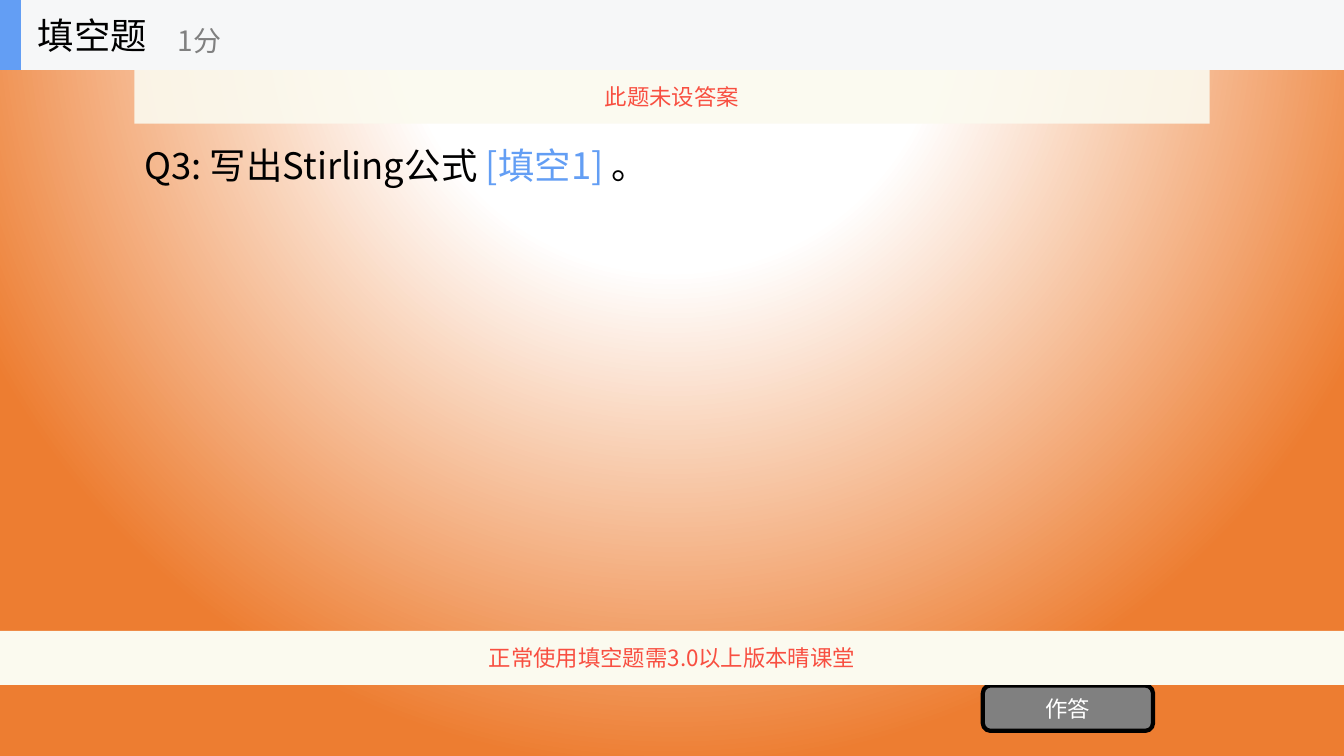
"""Build the fill-in-the-blank question slide."""
from dataclasses import dataclass
from typing import Optional

from lxml.etree import SubElement
from pptx import Presentation
from pptx.dml.color import RGBColor
from pptx.enum.shapes import MSO_SHAPE as Preset
from pptx.enum.text import MSO_ANCHOR as Anchor, PP_ALIGN as Align
from pptx.oxml import parse_xml
from pptx.oxml.ns import nsdecls, qn
from pptx.shapes.autoshape import Shape
from pptx.slide import Slide
from pptx.util import Inches, Pt

WIDTH, HEIGHT = Inches(13.33), Inches(7.5)
FONT = "Noto Sans CJK SC"
BLACK = RGBColor(0x00, 0x00, 0x00)
WHITE = RGBColor(0xFF, 0xFF, 0xFF)
GRAY = RGBColor(0x80, 0x80, 0x80)
BLUE = RGBColor(0x63, 0x9E, 0xF4)
RED = RGBColor(0xF8, 0x4F, 0x41)
CREAM = RGBColor(0xFB, 0xFA, 0xEF)
PALE = RGBColor(0xF6, 0xF7, 0xF8)
ORANGE = RGBColor(0xED, 0x7D, 0x31)
HEADER_HEIGHT = 9.26
NOTICE_HEIGHT = 7.12


@dataclass(frozen=True)
class Piece:
    """A stretch of text in one colour."""
    text: str
    color: RGBColor


@dataclass(frozen=True)
class Block:
    """A part of the slide, placed in percent of the slide's size."""
    left: float
    top: float
    width: float
    height: float
    pieces: tuple[Piece, ...] = ()
    size: int = 16
    fill: Optional[RGBColor] = None
    opacity: int = 100
    preset: Preset = Preset.RECTANGLE
    border: Optional[RGBColor] = None


BODY = (
    Block(10, 6.25, 80, 31.25, (Piece("Q3: 写出Stirling公式 ", BLACK),
                                Piece("[填空1] ", BLUE), Piece("。", BLACK)), 26),
    Block(73.13, 90.67, 12.66, 6, (Piece("作答", WHITE),), fill=GRAY,
          preset=Preset.ROUNDED_RECTANGLE, border=BLACK),
    Block(0, 83.47, 100, NOTICE_HEIGHT,
          (Piece("正常使用填空题需3.0以上版本晴课堂", RED),), fill=CREAM),
    Block(10, HEADER_HEIGHT, 80, NOTICE_HEIGHT,
          (Piece("此题未设答案", RED),), fill=CREAM, opacity=90),
)
HEADER = (
    Block(0, 0, 100, HEADER_HEIGHT, fill=PALE),
    Block(0, 0, 1.56, HEADER_HEIGHT, fill=BLUE),
    Block(2.08, 0, 15.63, HEADER_HEIGHT, (Piece("填空题", BLACK),), 26),
    Block(12.5, 1.6, 18.75, 7.5, (Piece("1分", GRAY),), 20),
)


def paint_background(slide: Slide) -> None:
    """Fill the background with a glow centred above the slide."""
    slide.background.fill.gradient()
    linear = slide.element.find(".//" + qn("a:gradFill"))
    stops = "".join(
        f'<a:gs pos="{share * 1000}"><a:srgbClr val="{color}"/></a:gs>'
        for share, color in ((0, WHITE), (35, WHITE), (100, ORANGE)))
    glow = parse_xml(
        f'<a:gradFill {nsdecls("a")} rotWithShape="1"><a:gsLst>{stops}</a:gsLst>'
        '<a:path path="circle"><a:fillToRect l="50000" t="-80000" r="50000" '
        'b="180000"/></a:path></a:gradFill>')
    linear.getparent().replace(linear, glow)


def style_surface(shape: Shape, block: Block) -> None:
    """Set the fill, opacity and border of a shape."""
    shape.shadow.inherit = False
    shape.fill.solid()
    shape.fill.fore_color.rgb = block.fill
    if block.opacity < 100:
        color = shape.element.spPr.find(".//" + qn("a:srgbClr"))
        SubElement(color, qn("a:alpha"), val=str(block.opacity * 1000))
    if block.border is None:
        shape.line.fill.background()
    else:
        shape.line.color.rgb = block.border
        shape.line.width = Pt(3)


def write_text(shape: Shape, block: Block) -> None:
    """Write the pieces of a block and format their runs."""
    frame = shape.text_frame
    frame.word_wrap = True
    frame.vertical_anchor = Anchor.MIDDLE
    paragraph = frame.paragraphs[0]
    paragraph.alignment = Align.CENTER if block.fill else Align.LEFT
    for piece in block.pieces:
        run = paragraph.add_run()
        run.text = piece.text
        run.font.size = Pt(block.size)
        run.font.color.rgb = piece.color
        run.font.name = FONT
        SubElement(run.font._element, qn("a:ea"), typeface=FONT)


def draw(shapes, block: Block) -> None:
    """Draw one block into a shape collection."""
    box = (round(WIDTH * block.left / 100), round(HEIGHT * block.top / 100),
           round(WIDTH * block.width / 100), round(HEIGHT * block.height / 100))
    if block.fill is None:
        shape = shapes.add_textbox(*box)
    else:
        shape = shapes.add_shape(block.preset, *box)
        style_surface(shape, block)
    if block.pieces:
        write_text(shape, block)


def main() -> None:
    """Assemble and save the slide."""
    deck = Presentation()
    deck.slide_width, deck.slide_height = WIDTH, HEIGHT
    slide = deck.slides.add_slide(deck.slide_layouts[6])
    paint_background(slide)
    for block in BODY:
        draw(slide.shapes, block)
    header = slide.shapes.add_group_shape()
    for block in HEADER:
        draw(header.shapes, block)
    deck.save("out.pptx")


if __name__ == "__main__":
    main()
